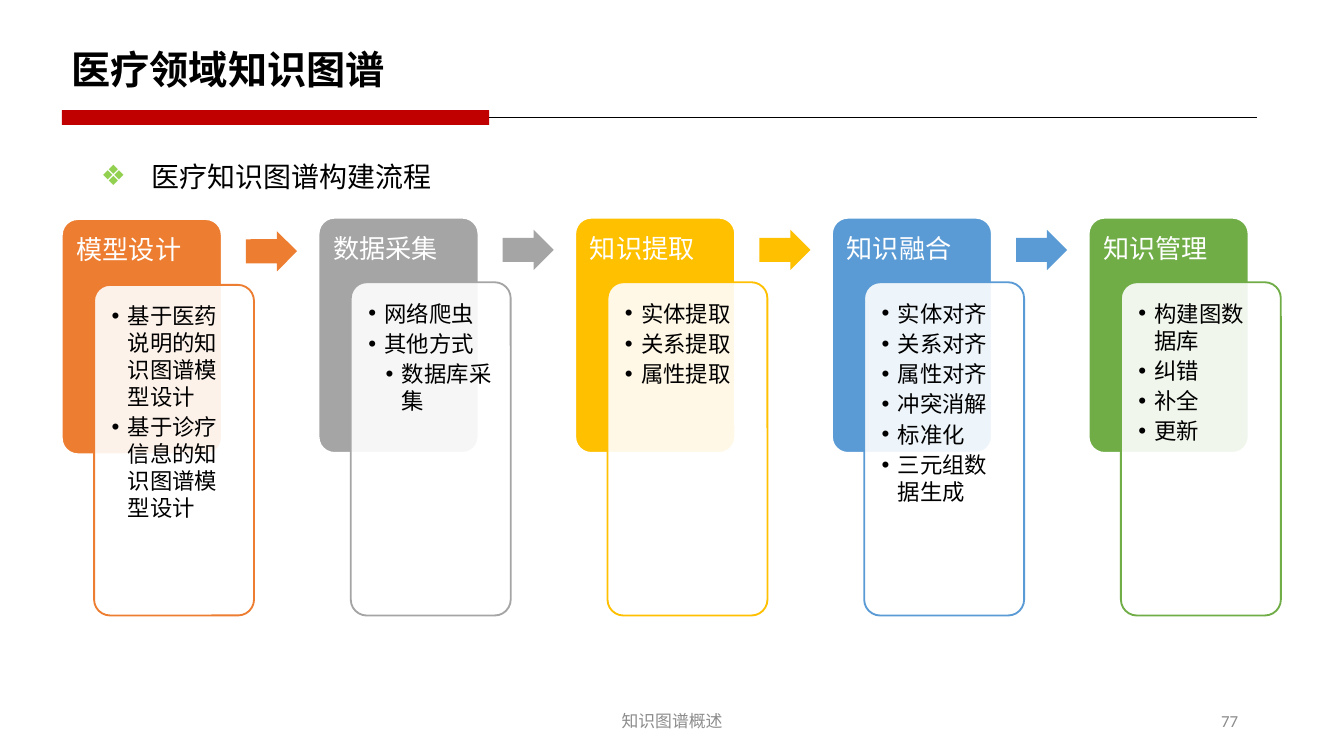
from dataclasses import dataclass

from lxml.etree import SubElement
from pptx import Presentation
from pptx.dml.color import RGBColor
from pptx.enum.shapes import MSO_CONNECTOR, MSO_SHAPE
from pptx.enum.text import MSO_ANCHOR, MSO_AUTO_SIZE, PP_ALIGN
from pptx.oxml.ns import qn
from pptx.util import Inches, Pt

COLORS = {
    "black": "000000",
    "white": "FFFFFF",
    "red": "C00000",
    "gray_text": "8C8C8C",
    "bullet": "92D050",
    "orange": "ED7D31",
    "gray": "A5A5A5",
    "gold": "FFC000",
    "blue": "5B9BD5",
    "green": "70AD47",
}
FONT = "Calibri"
CJK_FONT = "Noto Sans CJK SC"
LEFT, PITCH, CARD_W = 0.46, 1.91, 1.19
PANEL_BOTTOM = 4.58


@dataclass
class Item:
    text: str
    level: int = 1


@dataclass
class Stage:
    title: str
    color: str
    items: list[Item]
    top: float = 1.62
    panel_top: float = 2.1
    arrow_rotation: float = 0


STAGES = [
    Stage("模型设计", "orange",
          [Item("基于医药说明的知识图谱模型设计"), Item("基于诊疗信息的知识图谱模型设计")],
          1.63, 2.12, 359.8),
    Stage("数据采集", "gray",
          [Item("网络爬虫"), Item("其他方式"), Item("数据库采集", 2)]),
    Stage("知识提取", "gold",
          [Item("实体提取"), Item("关系提取"), Item("属性提取")]),
    Stage("知识融合", "blue",
          [Item("实体对齐"), Item("关系对齐"), Item("属性对齐"), Item("冲突消解"),
           Item("标准化"), Item("三元组数据生成")]),
    Stage("知识管理", "green",
          [Item("构建图数据库"), Item("纠错"), Item("补全"), Item("更新")]),
]


def rgb(color: str) -> RGBColor:
    return RGBColor.from_string(COLORS[color])


def place(sp, x: float, y: float, w: float, h: float) -> None:
    sp.left, sp.top, sp.width, sp.height = (Inches(v) for v in (x, y, w, h))


def set_insets(tf, left: float, top: float, right: float, bottom: float) -> None:
    tf.margin_left, tf.margin_top = Inches(left), Inches(top)
    tf.margin_right, tf.margin_bottom = Inches(right), Inches(bottom)


def add_run(p, text: str, size: float, color: str, font: str = FONT, bold: bool = False) -> None:
    r = p.add_run()
    r.text = text
    r.font.size = Pt(size)
    r.font.bold = bold
    r.font.name = font
    r.font.color.rgb = rgb(color)
    SubElement(r.font._element, qn("a:ea")).set("typeface", font)


def add_bullet(p, char: str, margin: float, indent: float, color: str | None = None) -> None:
    pPr = p._p.get_or_add_pPr()
    pPr.set("marL", str(Inches(margin)))
    pPr.set("indent", str(Inches(indent)))
    if color:
        clr = SubElement(pPr, qn("a:buClr"))
        SubElement(clr, qn("a:srgbClr")).set("val", COLORS[color])
    SubElement(pPr, qn("a:buFont")).set("typeface", "Arial")
    SubElement(pPr, qn("a:buChar")).set("char", char)


def add_text_box(shapes, x: float, y: float, w: float, h: float):
    sp = shapes.add_textbox(Inches(x), Inches(y), Inches(w), Inches(h))
    sp.text_frame.word_wrap = True
    return sp.text_frame


def add_block(shapes, kind: MSO_SHAPE, x: float, y: float, w: float, h: float,
              fill: str, line: str | None = None):
    sp = shapes.add_shape(kind, Inches(x), Inches(y), Inches(w), Inches(h))
    sp.shadow.inherit = False
    sp.fill.solid()
    sp.fill.fore_color.rgb = rgb(fill)
    if line:
        sp.line.color.rgb = rgb(line)
        sp.line.width = Pt(1)
    else:
        sp.line.fill.background()
    return sp


def add_card(shapes, stage: Stage, x: float) -> None:
    card = add_block(shapes, MSO_SHAPE.ROUNDED_RECTANGLE, x, stage.top, CARD_W, 1.75,
                     stage.color, "white")
    card.adjustments[0] = 0.1
    tf = add_text_box(shapes, x, stage.top, CARD_W, 0.48)
    set_insets(tf, 0.11, 0.11, 0.11, 0.06)
    add_run(tf.paragraphs[0], stage.title, 14, "white")

    panel_h = PANEL_BOTTOM - stage.panel_top
    panel = add_block(shapes, MSO_SHAPE.ROUNDED_RECTANGLE, x + 0.24, stage.panel_top,
                      CARD_W, panel_h, "white", stage.color)
    panel.adjustments[0] = 0.1
    clr = panel._element.spPr.find(qn("a:solidFill")).find(qn("a:srgbClr"))
    SubElement(clr, qn("a:alpha")).set("val", "90000")

    tf = add_text_box(shapes, x + 0.28, stage.panel_top + 0.04, 1.12, panel_h - 0.07)
    set_insets(tf, 0.09, 0.09, 0.09, 0.09)
    for i, item in enumerate(stage.items):
        p = tf.add_paragraph() if i else tf.paragraphs[0]
        p.level = item.level
        add_bullet(p, "•", 0.12 if item.level == 1 else 0.25, -0.12)
        p.space_after = Pt(1.8)
        add_run(p, item.text, 12, "black")


def add_arrow(shapes, stage: Stage, x: float) -> None:
    sp = add_block(shapes, MSO_SHAPE.RIGHT_ARROW, x, stage.top + 0.09, 0.38, 0.3, stage.color)
    sp.adjustments[0], sp.adjustments[1] = 0.6, 0.5
    sp.rotation = stage.arrow_rotation


def add_footer(shapes, text: str, x: float, w: float, align: PP_ALIGN) -> None:
    tf = add_text_box(shapes, x, 5.21, w, 0.3)
    tf.vertical_anchor = MSO_ANCHOR.MIDDLE
    p = tf.paragraphs[0]
    p.alignment = align
    add_run(p, text, 9, "gray_text")


def add_heading(s) -> None:
    title = s.shapes.title
    place(title, 0.43, 0.29, 2.56, 0.45)
    tf = title.text_frame
    tf.word_wrap = False
    tf.auto_size = MSO_AUTO_SIZE.NONE
    tf.vertical_anchor = MSO_ANCHOR.MIDDLE
    p = tf.paragraphs[0]
    p.alignment = PP_ALIGN.LEFT
    add_run(p, "医疗领域", 21, "black", bold=True)
    add_run(p, "知识图谱", 21, "black", CJK_FONT, True)

    bar = add_block(s.shapes, MSO_SHAPE.RECTANGLE, LEFT, 0.82, 3.18, 0.11, "red")
    y = bar.top + bar.height // 2
    rule = s.shapes.add_connector(MSO_CONNECTOR.STRAIGHT, bar.left, y, Inches(9.35), y)
    rule.begin_connect(bar, 1)
    rule.line.color.rgb = rgb("black")
    rule.line.width = Pt(0.5)
    SubElement(rule._element.spPr, qn("a:effectLst"))
    bar._element.addprevious(rule._element)


def add_subtitle(s) -> None:
    body = s.placeholders[1]
    place(body, 0.72, 1.12, 7.5, 1.88)
    tf = body.text_frame
    tf.auto_size = MSO_AUTO_SIZE.NONE
    set_insets(tf, 0, 0.04, 0, 0.04)
    p = tf.paragraphs[0]
    add_bullet(p, "❖", 0.41, -0.38, "bullet")
    p.line_spacing = 1.1
    p.space_before = Pt(0)
    p.space_after = Pt(1.1)
    add_run(p, "医疗知识图谱构建流程", 15, "black")


def main() -> None:
    prs = Presentation()
    prs.slide_width = Inches(10)
    prs.slide_height = prs.slide_width * 9 // 16
    s = prs.slides.add_slide(prs.slide_layouts[1])
    add_heading(s)
    add_subtitle(s)
    flow = s.shapes.add_group_shape().shapes
    for i, stage in enumerate(STAGES):
        x = LEFT + i * PITCH
        add_card(flow, stage, x)
        if i < len(STAGES) - 1:
            add_arrow(flow, stage, x + 1.37)
    add_footer(s.shapes, "知识图谱概述", 3.31, 3.38, PP_ALIGN.CENTER)
    add_footer(s.shapes, "77", 7.06, 2.25, PP_ALIGN.RIGHT)
    prs.save("out.pptx")


if __name__ == "__main__":
    main()
